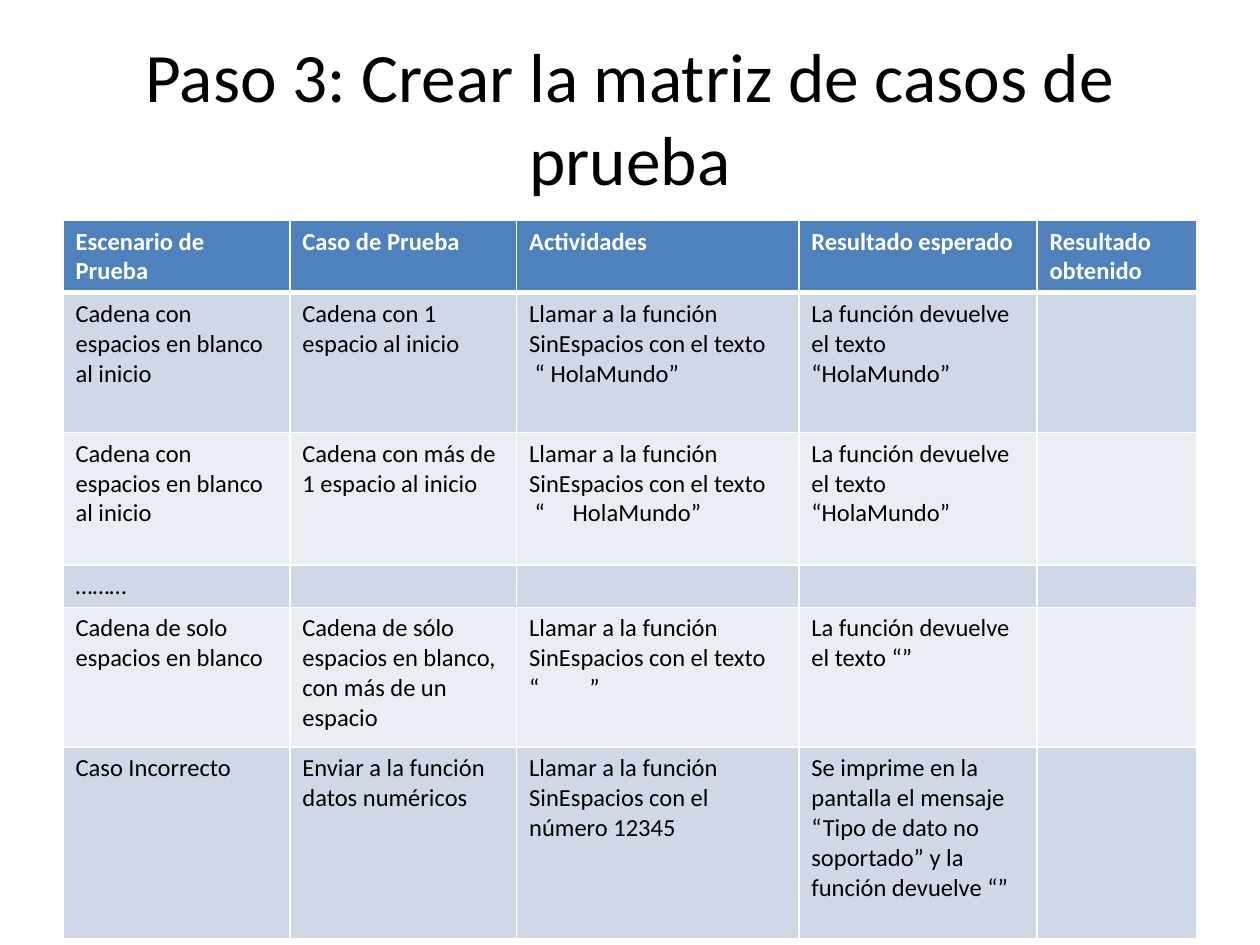
from lxml.etree import SubElement
from pptx import Presentation
from pptx.dml.color import RGBColor
from pptx.enum.text import MSO_ANCHOR, MSO_AUTO_SIZE, PP_ALIGN
from pptx.oxml.ns import qn
from pptx.util import Inches, Pt

COLORS = {
    "black": "000000",
    "white": "FFFFFF",
    "header": "4F81BD",
    "odd": "D0D8E8",
    "even": "E9EDF4",
}

HEADERS = ["Escenario de Prueba", "Caso de Prueba", "Actividades",
           "Resultado esperado", "Resultado obtenido"]
LEADING_SPACES = "Cadena con espacios en blanco al inicio"
CALL = "Llamar a la función SinEspacios con el "
RETURNS = "La función devuelve el texto "
TEST_CASES = [
    [LEADING_SPACES, "Cadena con 1 espacio al inicio",
     CALL + "texto\n “ HolaMundo”", RETURNS + "“HolaMundo”", ""],
    [LEADING_SPACES, "Cadena con más de 1 espacio al inicio",
     CALL + "texto\n “     HolaMundo”", RETURNS + "“HolaMundo”", ""],
    ["………", "", "", "", ""],
    ["Cadena de solo espacios en blanco",
     "Cadena de sólo espacios en blanco, con más de un espacio",
     CALL + "texto \n“         ”", RETURNS + "“”", ""],
    ["Caso Incorrecto", "Enviar a la función datos numéricos",
     CALL + "número 12345",
     "Se imprime en la pantalla el mensaje “Tipo de dato no soportado” "
     "y la función devuelve “”", ""],
]
COLUMN_WIDTHS = [1.8, 1.8, 2.24, 1.89, 1.27]
ROW_HEIGHTS = [0.57, 1.11, 1.05, 0.33, 1.11, 1.52]


class SlideBuilder:
    """Holds the style and the slide; lengths are in one-inch grid units."""

    font_name = "Calibri"
    title_size = 39.6
    cell_size = 14

    def __init__(self, presentation):
        title_only = presentation.slide_layouts[5]
        self.slide = presentation.slides.add_slide(title_only)

    def set_font(self, paragraph, size, color, bold=False):
        font = paragraph.font
        font.name, font.size, font.bold = self.font_name, Pt(size), bold
        font.color.rgb = RGBColor.from_string(COLORS[color])

    def title(self, text, left, top, width, height):
        shape = self.slide.shapes.title
        shape.left, shape.top = Inches(left), Inches(top)
        shape.width, shape.height = Inches(width), Inches(height)
        frame = shape.text_frame
        frame.auto_size = MSO_AUTO_SIZE.NONE
        frame.word_wrap = True
        frame.vertical_anchor = MSO_ANCHOR.MIDDLE
        paragraph = frame.paragraphs[0]
        paragraph.text = text
        paragraph.alignment = PP_ALIGN.CENTER
        self.set_font(paragraph, self.title_size, "black")

    def table(self, rows, left, top, widths, heights):
        table = self.slide.shapes.add_table(
            len(rows), len(widths), Inches(left), Inches(top),
            Inches(sum(widths)), Inches(sum(heights))).table
        for column, width in zip(table.columns, widths):
            column.width = Inches(width)
        for row, height in zip(table.rows, heights):
            row.height = Inches(height)
        for r, texts in enumerate(rows):
            for c, text in enumerate(texts):
                self.cell(table.cell(r, c), text, r)

    def cell(self, cell, text, row):
        is_header = row == 0
        self.borders(cell, top=3 if row == 1 else 1, bottom=3 if is_header else 1)
        fill = "header" if is_header else ("odd" if row % 2 else "even")
        cell.fill.solid()
        cell.fill.fore_color.rgb = RGBColor.from_string(COLORS[fill])
        paragraph = cell.text_frame.paragraphs[0]
        self.set_font(paragraph, self.cell_size,
                      "white" if is_header else "black", is_header)
        if text:
            paragraph.text = text
        else:
            # The end mark keeps an empty cell from growing its row
            SubElement(paragraph._p, qn("a:endParaRPr"), sz=str(self.cell_size * 100))

    def borders(self, cell, top, bottom):
        properties = cell._tc.get_or_add_tcPr()
        for side, width in (("L", 1), ("R", 1), ("T", top), ("B", bottom)):
            line = SubElement(properties, qn(f"a:ln{side}"), w=str(Pt(width)))
            fill = SubElement(line, qn("a:solidFill"))
            SubElement(fill, qn("a:srgbClr"), val=COLORS["white"])


def main():
    presentation = Presentation()
    presentation.slide_width, presentation.slide_height = Inches(10), Inches(7.5)
    builder = SlideBuilder(presentation)

    # Title
    builder.title("Paso 3: Crear la matriz de casos de prueba", 0.5, 0.3, 9, 1.25)

    # Test case matrix
    builder.table([HEADERS, *TEST_CASES], 0.5, 1.75, COLUMN_WIDTHS, ROW_HEIGHTS)

    presentation.save("out.pptx")


if __name__ == "__main__":
    main()
